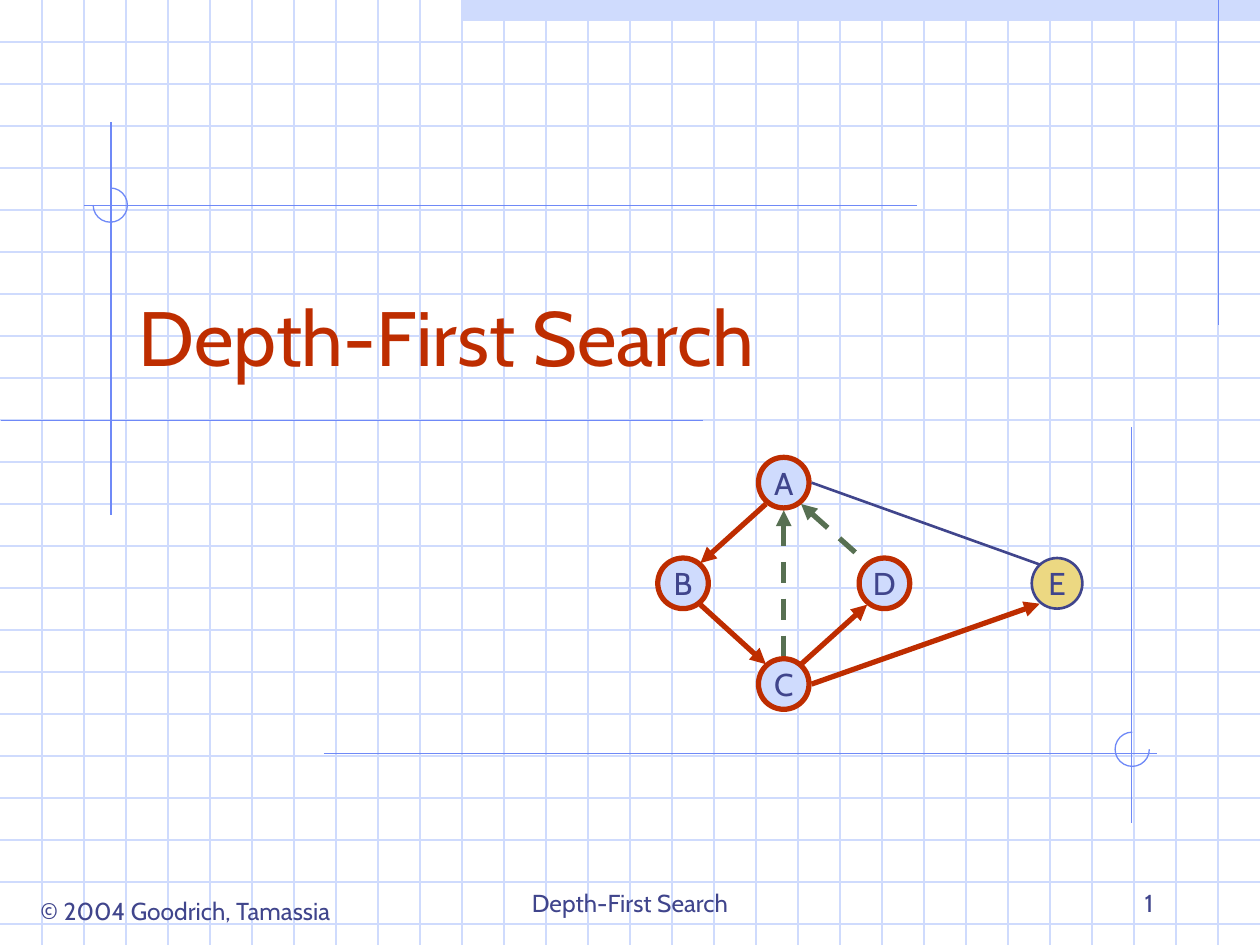
from pptx import Presentation
from pptx import util as u
from pptx.dml.color import RGBColor
from pptx.enum import dml, shapes, text
from pptx.oxml.ns import qn
from lxml import etree

FONT = "Cabin"
PALE = RGBColor(0xCF, 0xDB, 0xFD)
BLUE = RGBColor(0x6F, 0x89, 0xF7)
NAVY = RGBColor(0x40, 0x45, 0x8C)
RED = RGBColor(0xBE, 0x2D, 0x00)
GREEN = RGBColor(0x57, 0x70, 0x52)
YELLOW = RGBColor(0xEC, 0xD8, 0x82)

# All lengths are in centimetres.
WIDTH, HEIGHT = 25.4, 19.05
COLUMNS = 30
STEP = WIDTH / COLUMNS
NODE_SIZE = 1.02

RULES = [
    (24.56, 0, 24.56, 6.55),
    (2.24, 2.46, 2.24, 10.39),
    (14.17, 8.48, 0.02, 8.48),
    (18.49, 4.14, 1.7, 4.14),
    (6.53, 15.19, 23.32, 15.19),
    (22.81, 8.61, 22.81, 16.59),
]

NODES = [  # label, centre, fill, outline, outline width
    ("A", 15.8, 9.73, PALE, RED, 3),
    ("B", 13.77, 11.76, PALE, RED, 3),
    ("C", 15.8, 13.79, PALE, RED, 3),
    ("D", 17.83, 11.76, PALE, RED, 3),
    ("E", 21.31, 11.76, YELLOW, NAVY, 1.5),
]

DISCOVERY_EDGES = [
    (15.44, 10.16, 14.12, 11.35),  # A to B
    (14.12, 12.19, 15.44, 13.39),  # B to C
    (16.15, 13.39, 17.48, 12.19),  # C to D
    (16.36, 13.79, 20.96, 12.17),  # C to E
]
BACK_EDGES = [  # the arrowhead is at the first point
    (16.15, 10.16, 17.48, 11.35),  # D to A
    (15.8, 10.29, 15.8, 13.23),  # C to A
]
UNEXPLORED_EDGE = (20.96, 11.38, 16.36, 9.73)  # E and A


def write(sp, content, size=14, color=NAVY, align=text.PP_ALIGN.CENTER,
          anchor=text.MSO_ANCHOR.BOTTOM, wrap=True):
    tf = sp.text_frame
    tf.auto_size = text.MSO_AUTO_SIZE.NONE
    tf.word_wrap = wrap
    tf.vertical_anchor = anchor
    p = tf.paragraphs[0]
    p.alignment = align
    r = p.add_run()
    r.text = content
    r.font.name = FONT
    r.font.size = u.Pt(size)
    r.font.color.rgb = color


def add_line(s, ends, color, width=0.75, arrow=None, dashed=False):
    """Draw a line; arrow is "headEnd" (first point), "tailEnd" or None."""
    c = s.shapes.add_connector(shapes.MSO_CONNECTOR.STRAIGHT,
                               *[u.Cm(v) for v in ends])
    c.line.color.rgb = color
    c.line.width = u.Pt(width)
    if dashed:
        c.line.dash_style = dml.MSO_LINE.DASH
    sp_pr = c.element.spPr
    if arrow:
        etree.SubElement(sp_pr.find(qn("a:ln")), qn("a:" + arrow), type="triangle")
    etree.SubElement(sp_pr, qn("a:effectLst"))


def add_shape(s, kind, x, y, w, h, fill=None, line=None, width=0.75):
    sp = s.shapes.add_shape(kind, u.Cm(x), u.Cm(y), u.Cm(w), u.Cm(h))
    sp.shadow.inherit = False
    if fill is None:
        sp.fill.background()
    else:
        sp.fill.solid()
        sp.fill.fore_color.rgb = fill
    if line is None:
        sp.line.fill.background()
    else:
        sp.line.color.rgb = line
        sp.line.width = u.Pt(width)
    return sp


def add_arc(s, x, y, start, end):
    """Draw an arc clockwise between two angles in degrees."""
    sp = add_shape(s, shapes.MSO_SHAPE.ARC, x, y, 0.69, 0.69, line=BLUE)
    # Angles are stored in 1/60000 degree, adjustments in 1/100000.
    sp.adjustments[0] = start * 0.6
    sp.adjustments[1] = end * 0.6


def add_node(s, label, x, y, fill, line, width):
    sp = add_shape(s, shapes.MSO_SHAPE.OVAL, x - NODE_SIZE / 2, y - NODE_SIZE / 2,
                   NODE_SIZE, NODE_SIZE, fill, line, width)
    write(sp, label, size=18, anchor=text.MSO_ANCHOR.MIDDLE, wrap=False)


def add_label(s, content, x, y, w, h, **fmt):
    write(s.shapes.add_textbox(u.Cm(x), u.Cm(y), u.Cm(w), u.Cm(h)), content, **fmt)


def add_background(s):
    add_shape(s, shapes.MSO_SHAPE.RECTANGLE, 11 * STEP, 0, 19 * STEP, STEP / 2, PALE)
    for i in range(1, int(HEIGHT / STEP) + 1):
        add_line(s, (0, i * STEP, WIDTH, i * STEP), PALE)
    for i in range(1, COLUMNS):
        add_line(s, (i * STEP, 0, i * STEP, HEIGHT), PALE)
    for ends in RULES:
        add_line(s, ends, BLUE)
    add_arc(s, 1.88, 3.79, 270, 180)
    add_arc(s, 22.48, 14.76, 0, 270)


def add_title(s, content):
    sp = s.shapes.title
    sp.left, sp.top, sp.width, sp.height = [u.Cm(v) for v in (2.54, 4.65, 21.59, 3.18)]
    write(sp, content, size=44, color=RED, align=text.PP_ALIGN.LEFT)
    s.shapes.element.append(sp.element)  # in front of the grid


def add_graph(s):
    for node in NODES:
        add_node(s, *node)
    for ends in DISCOVERY_EDGES:
        add_line(s, ends, RED, 3, arrow="tailEnd")
    for ends in BACK_EDGES:
        add_line(s, ends, GREEN, 3, arrow="headEnd", dashed=True)
    add_line(s, UNEXPLORED_EDGE, NAVY, 1.5)


def main():
    prs = Presentation()
    prs.slide_width, prs.slide_height = u.Cm(WIDTH), u.Cm(HEIGHT)
    s = prs.slides.add_slide(prs.slide_layouts[5])
    add_background(s)
    add_label(s, "© 2004 Goodrich, Tamassia", 0.3, 17.93, 6.88, 0.86,
              anchor=text.MSO_ANCHOR.TOP, wrap=False)
    add_title(s, "Depth-First Search")
    add_graph(s)
    add_label(s, "Depth-First Search", 8.68, 17.35, 8.04, 1.27)
    add_label(s, "1", 18.2, 17.35, 5.3, 1.27, align=text.PP_ALIGN.RIGHT)
    prs.save("out.pptx")


if __name__ == "__main__":
    main()
